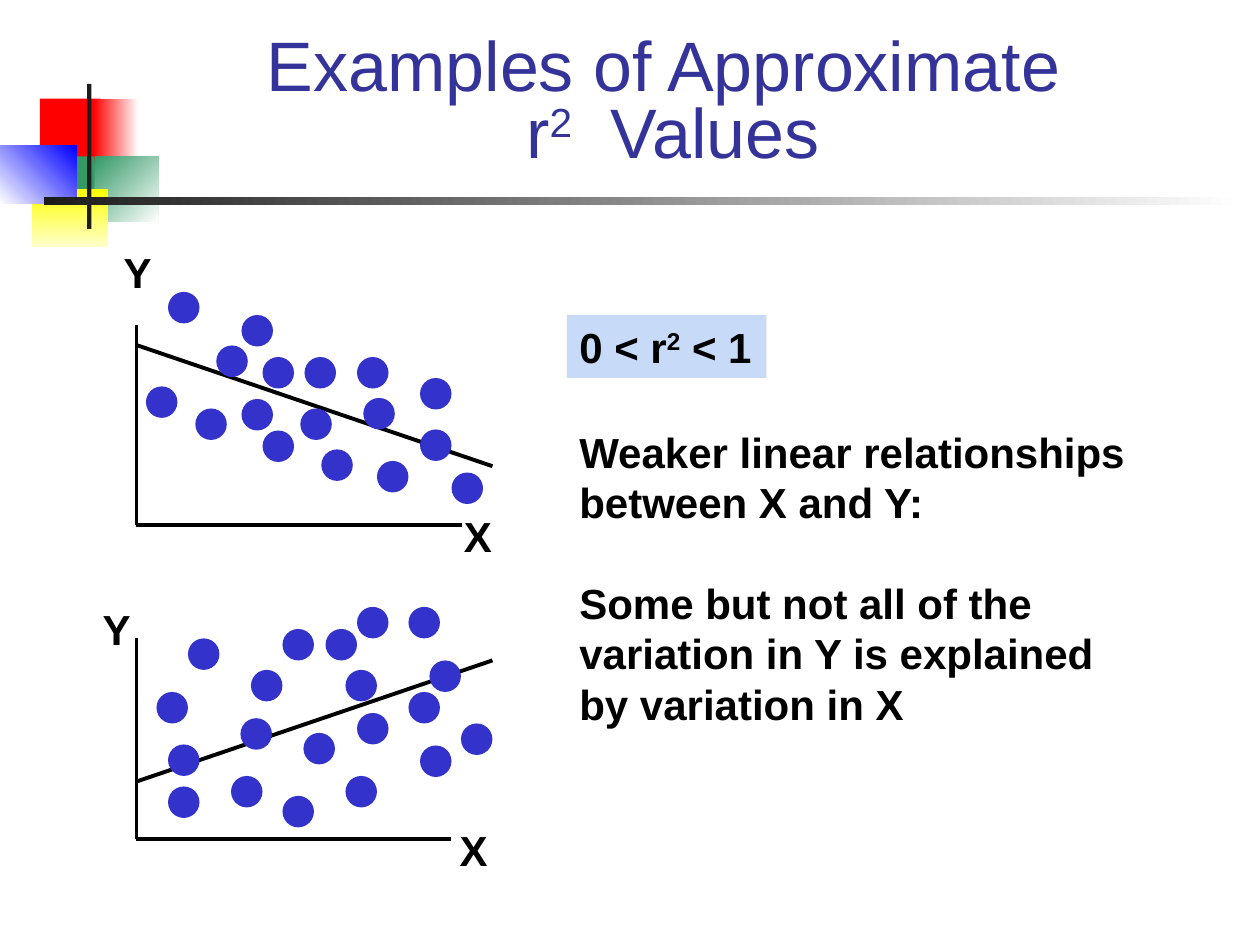
from dataclasses import dataclass

import pptx
import pptx.dml.color
import pptx.enum.shapes
import pptx.enum.text
import pptx.oxml.ns
import pptx.util
from lxml import etree

CELL = pptx.util.Inches(1 / 12)
COLUMNS, ROWS = 120, 90
DOT = 3
Point = tuple[float, float]
Area = tuple[float, float, float, float]


@dataclass(frozen=True)
class Theme:
    font: str = "Arial"
    title: str = "333399"
    ink: str = "000000"
    dot: str = "3333CC"
    highlight: str = "C7DAF7"
    red: str = "FF0000"
    green: str = "339966"
    yellow: str = "FFFF00"
    pale_yellow: str = "FFFFCC"
    blue: str = "0000FF"
    charcoal: str = "1C1C1C"
    white: str = "FFFFFF"
    title_size: float = 40
    body_size: float = 24
    axis_width: float = 2
    trend_width: float = 2.25


@dataclass(frozen=True)
class Block:
    area: Area
    color: str
    fade_to: str = ""
    angle: float = 0


@dataclass(frozen=True)
class Scatter:
    top: Point
    origin: Point
    right: Point
    trend: tuple[Point, Point]
    y_label: Point
    x_label: Point
    dots: list[Point]


THEME = Theme()

ORNAMENT = [
    Block((3.8, 9.4, 5.8, 6.2), THEME.red),
    Block((8.9, 9.4, 4.3, 6.2), THEME.red, THEME.white),
    Block((9, 14.9, 6.1, 6.2), THEME.green, THEME.white, 315),
    Block((5.2, 14.9, 3.8, 6.2), THEME.green),
    Block((3, 18, 7.3, 5.5), THEME.yellow, THEME.pale_yellow, 270),
    Block((0, 13.9, 7.3, 5.5), THEME.white, THEME.blue, 45),
    Block((8.3, 8, 0.4, 13.8), THEME.charcoal),
    Block((4.2, 18.8, 114.1, 0.7), THEME.charcoal, THEME.white),
]

SCATTERS = [
    Scatter(
        top=(13, 31), origin=(13, 50), right=(44, 50),
        trend=((13.1, 32.9), (46.9, 44.4)),
        y_label=(10.6, 22.9), x_label=(43, 48),
        dots=[(43, 45), (40, 40.9), (16, 27.8), (20.6, 32.9), (35.9, 43.9),
              (13.9, 36.8), (30.6, 42.8), (23, 30), (34, 34), (40, 36),
              (18.6, 38.9), (29, 34), (23, 38), (28.6, 38.9), (34.6, 37.9),
              (25, 34), (25, 41)],
    ),
    Scatter(
        top=(13, 60.8), origin=(13, 79.9), right=(43, 79.9),
        trend=((13.1, 74.4), (46.9, 62.9)),
        y_label=(8.6, 56.9), x_label=(42.6, 77.9),
        dots=[(16, 74.9), (16, 70.9), (38.9, 57.8), (40.9, 62.9), (22, 73.9),
              (38.9, 65.9), (32.9, 73.9), (34, 57.8), (26.9, 59.9),
              (14.9, 65.9), (17.9, 60.8), (22.9, 68.4), (34, 67.9),
              (28.9, 69.8), (26.9, 75.8), (43.9, 68.9), (32.9, 63.8),
              (31, 59.9), (23.9, 63.8), (40, 71)],
    ),
]


def cells(*lengths: float) -> list[int]:
    return [round(length * CELL) for length in lengths]


def rgb(color: str) -> pptx.dml.color.RGBColor:
    return pptx.dml.color.RGBColor.from_string(color)


def draw_block(slide, block: Block, kind=pptx.enum.shapes.MSO_SHAPE.RECTANGLE) -> None:
    shape = slide.shapes.add_shape(kind, *cells(*block.area))
    shape.shadow.inherit = False
    shape.line.fill.background()
    if block.fade_to:
        shape.fill.gradient()
        shape.fill.gradient_angle = block.angle
        for stop, color in zip(shape.fill.gradient_stops, (block.color, block.fade_to)):
            stop.color.rgb = rgb(color)
    else:
        shape.fill.solid()
        shape.fill.fore_color.rgb = rgb(block.color)


def draw_line(slide, start: Point, end: Point, width: float) -> None:
    line = slide.shapes.add_connector(
        pptx.enum.shapes.MSO_CONNECTOR.STRAIGHT, *cells(*start, *end))
    line.line.color.rgb = rgb(THEME.ink)
    line.line.width = pptx.util.Pt(width)
    etree.SubElement(line._element.spPr, pptx.oxml.ns.qn("a:effectLst"))


def add_words(slide, area: Area, wording: str, wrap: bool = False):
    words = slide.shapes.add_textbox(*cells(*area))
    words.text_frame.word_wrap = wrap
    words.text_frame.text = wording
    return words


def add_power(paragraph, power: str, rest: str) -> None:
    exponent = paragraph.add_run()
    exponent.text = power
    exponent.font._element.set("baseline", "30000")
    paragraph.add_run().text = rest


def style_words(words, size: float = THEME.body_size,
                color: str = THEME.ink, bold: bool = True) -> None:
    for paragraph in words.text_frame.paragraphs:
        for run in paragraph.runs:
            run.font.name = THEME.font
            run.font.size = pptx.util.Pt(size)
            run.font.bold = bold
            run.font.color.rgb = rgb(color)


def draw_scatter(slide, scatter: Scatter) -> None:
    draw_line(slide, scatter.top, scatter.origin, THEME.axis_width)
    draw_line(slide, scatter.origin, scatter.right, THEME.axis_width)
    draw_line(slide, *scatter.trend, THEME.trend_width)
    for dot in scatter.dots:
        draw_block(slide, Block((*dot, DOT, DOT), THEME.dot),
                   pptx.enum.shapes.MSO_SHAPE.OVAL)
    for letter, corner in (("Y", scatter.y_label), ("X", scatter.x_label)):
        style_words(add_words(slide, (*corner, 5, 6), letter))


def draw_title(slide) -> None:
    title = add_words(slide, (13, 4, 102.2, 13), "Examples of Approximate \vr", wrap=True)
    title.text_frame.vertical_anchor = pptx.enum.text.MSO_ANCHOR.BOTTOM
    heading = title.text_frame.paragraphs[0]
    heading.alignment = pptx.enum.text.PP_ALIGN.CENTER
    heading.line_spacing = 0.8
    add_power(heading, "2", "  Values")
    style_words(title, THEME.title_size, THEME.title, bold=False)


def draw_explanation(slide) -> None:
    interval = add_words(slide, (54, 30, 19, 6), "0 < r")
    interval.fill.solid()
    interval.fill.fore_color.rgb = rgb(THEME.highlight)
    add_power(interval.text_frame.paragraphs[0], "2", " < 1")
    style_words(interval)

    meaning = add_words(
        slide, (54, 40, 55, 30),
        "Weaker linear relationships between X and Y:\n"
        "Some but not all of the variation in Y is explained by variation in X",
        wrap=True)
    meaning.text_frame.paragraphs[1].space_before = pptx.util.Pt(1.2 * THEME.body_size)
    style_words(meaning)


def main() -> None:
    deck = pptx.Presentation()
    deck.slide_width, deck.slide_height = cells(COLUMNS, ROWS)
    slide = deck.slides.add_slide(deck.slide_layouts[6])
    for block in ORNAMENT:
        draw_block(slide, block)
    draw_title(slide)
    for scatter in SCATTERS:
        draw_scatter(slide, scatter)
    draw_explanation(slide)
    deck.save("out.pptx")


if __name__ == "__main__":
    main()
